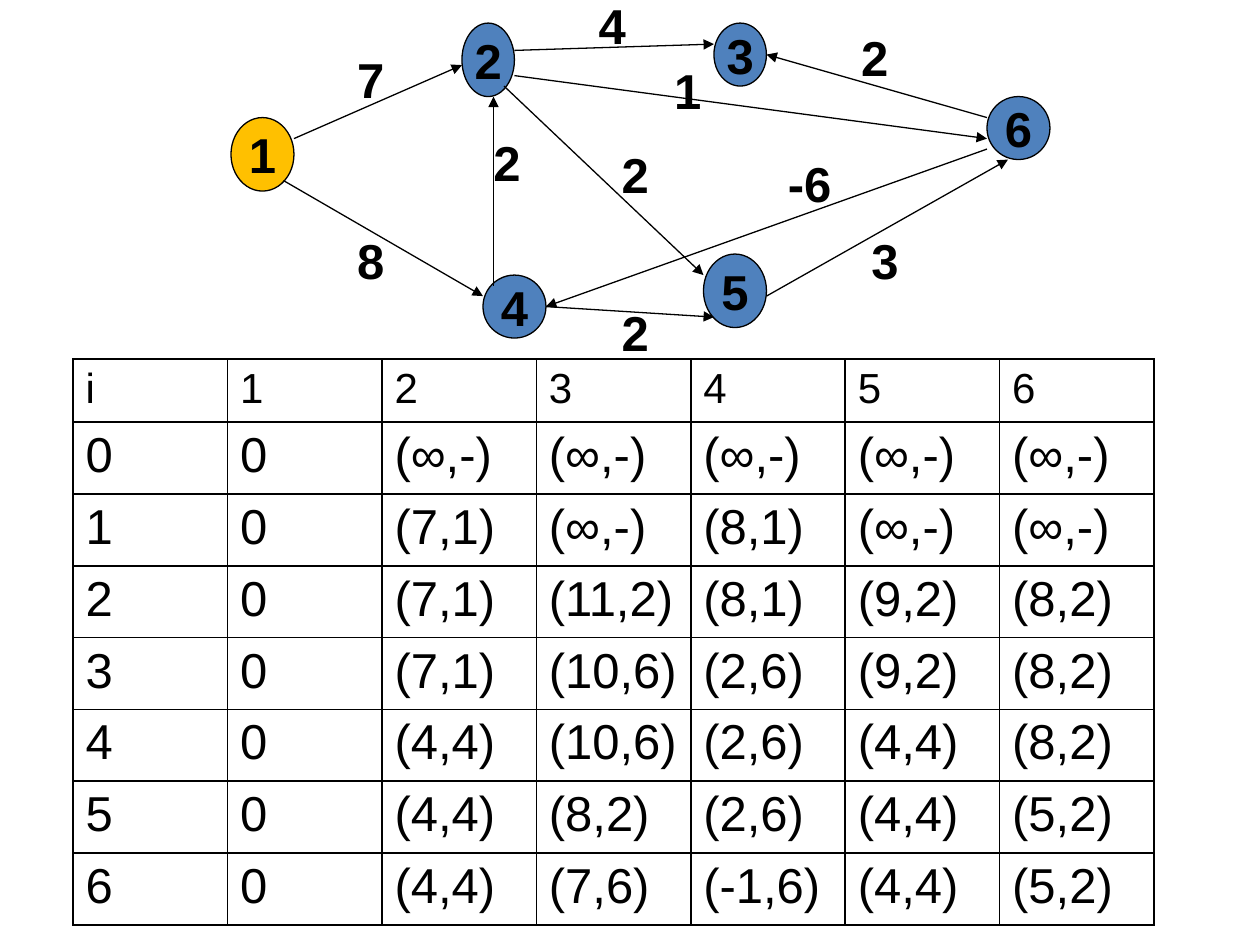
"""Builds a slide with a weighted directed graph and its shortest-path table."""
from dataclasses import dataclass
from typing import NamedTuple

from lxml import etree
from pptx import Presentation
from pptx.dml.color import RGBColor
from pptx.enum.shapes import MSO_CONNECTOR, MSO_SHAPE
from pptx.enum.text import MSO_ANCHOR, PP_ALIGN
from pptx.oxml.ns import qn
from pptx.util import Emu, Inches, Pt

ELLIPSE = MSO_SHAPE.OVAL
STRAIGHT = MSO_CONNECTOR.STRAIGHT
MIDDLE = MSO_ANCHOR.MIDDLE
CENTER = PP_ALIGN.CENTER


@dataclass(frozen=True)
class Theme:
    font: str = "Arial"
    ink: RGBColor = RGBColor(0, 0, 0)
    paper: RGBColor = RGBColor(255, 255, 255)
    start: RGBColor = RGBColor(0xFF, 0xC0, 0x00)
    node: RGBColor = RGBColor(0x4F, 0x81, 0xBD)
    body: Pt = Pt(28)
    header: Pt = Pt(24)
    line: Pt = Pt(0.75)
    border: Pt = Pt(1)


class Node(NamedTuple):
    name: str
    col: float
    row: float
    cols: float
    rows: float
    color: RGBColor


class Edge(NamedTuple):
    col1: float
    row1: float
    col2: float
    row2: float


class Weight(NamedTuple):
    text: str
    col: float
    row: float
    cols: float = 5


THEME = Theme()
UNIT = Inches(1) / 12
GRAPH_LEFT, GRAPH_TOP = 22, 2.2
WEIGHT_ROWS = 6.8
TABLE_LEFT, TABLE_TOP, TABLE_WIDTH = Inches(0.58), Inches(2.85), Inches(8.58)
HEADER_HEIGHT, ROW_HEIGHT = Inches(0.5), Inches(0.57)

NODES = [
    Node("1", 0, 9, 6, 7, THEME.start),
    Node("2", 22, 0, 5, 7, THEME.node),
    Node("3", 46, 0, 5, 6, THEME.node),
    Node("6", 72, 7, 6, 6, THEME.node),
    Node("4", 24, 24, 6, 6, THEME.node),
    Node("5", 45, 22, 6, 7, THEME.node),
]
EDGES = [
    Edge(6, 11, 22, 4), Edge(27, 2.6, 46, 2), Edge(72, 9, 51, 3),
    Edge(5, 15, 24, 26), Edge(25, 25, 25, 7), Edge(30, 27, 46, 28),
    Edge(51, 26, 74, 13), Edge(72, 12, 30, 27), Edge(27, 5, 72, 11),
    Edge(26, 6, 45, 24),
]
WEIGHTS = [
    Weight("7", 10.8, 1.9), Weight("4", 33.8, -3.2), Weight("2", 58.8, -0.2),
    Weight("1", 41, 3), Weight("8", 10.8, 19.2), Weight("2", 23.8, 9.8),
    Weight("2", 36, 11), Weight("-6", 51.8, 11.8, 6.6),
    Weight("3", 59.8, 19.2), Weight("2", 36, 26),
]
HEADER = "i 1 2 3 4 5 6"
ROWS = [
    "0 0 (∞,-) (∞,-) (∞,-) (∞,-) (∞,-)",
    "1 0 (7,1) (∞,-) (8,1) (∞,-) (∞,-)",
    "2 0 (7,1) (11,2) (8,1) (9,2) (8,2)",
    "3 0 (7,1) (10,6) (2,6) (9,2) (8,2)",
    "4 0 (4,4) (10,6) (2,6) (4,4) (8,2)",
    "5 0 (4,4) (8,2) (2,6) (4,4) (5,2)",
    "6 0 (4,4) (7,6) (-1,6) (4,4) (5,2)",
]


def point(col: float, row: float) -> tuple[Emu, Emu]:
    return Emu(round((GRAPH_LEFT + col) * UNIT)), Emu(round((GRAPH_TOP + row) * UNIT))


def size(cols: float, rows: float) -> tuple[Emu, Emu]:
    return Emu(round(cols * UNIT)), Emu(round(rows * UNIT))


def write(tf, text: str, pts: Pt, bold: bool = False):
    p = tf.paragraphs[0]
    r = p.add_run()
    r.text = text
    r.font.name, r.font.size, r.font.bold = THEME.font, pts, bold
    r.font.color.rgb = THEME.ink
    return p


def write_label(tf, text: str) -> None:
    tf.word_wrap = False
    write(tf, text, THEME.body, bold=True).alignment = CENTER


def draw_node(shapes, node: Node) -> None:
    sp = shapes.add_shape(ELLIPSE, *point(node.col, node.row), *size(node.cols, node.rows))
    sp.shadow.inherit = False
    sp.fill.solid()
    sp.fill.fore_color.rgb = node.color
    sp.line.color.rgb, sp.line.width = THEME.ink, THEME.line
    sp.text_frame.vertical_anchor = MIDDLE
    write_label(sp.text_frame, node.name)


def draw_edge(shapes, edge: Edge) -> None:
    cxn = shapes.add_connector(STRAIGHT, *point(edge.col1, edge.row1), *point(edge.col2, edge.row2))
    cxn.line.color.rgb, cxn.line.width = THEME.ink, THEME.line
    spPr = cxn._element.spPr
    etree.SubElement(spPr.find(qn("a:ln")), qn("a:tailEnd"), type="triangle")
    etree.SubElement(spPr, qn("a:effectLst"))


def draw_weight(shapes, weight: Weight) -> None:
    tb = shapes.add_textbox(*point(weight.col, weight.row), *size(weight.cols, WEIGHT_ROWS))
    write_label(tb.text_frame, weight.text)


def format_cell(cell) -> None:
    tcPr = cell._tc.get_or_add_tcPr()
    for side in ("lnL", "lnR", "lnT", "lnB"):
        ln = etree.SubElement(tcPr, qn(f"a:{side}"), w=str(THEME.border))
        fill = etree.SubElement(ln, qn("a:solidFill"))
        etree.SubElement(fill, qn("a:srgbClr"), val=str(THEME.ink))
    cell.fill.solid()
    cell.fill.fore_color.rgb = THEME.paper


def draw_row(shapes, line: str, top: Emu, height: Emu, pts: Pt) -> None:
    values = line.split()
    table = shapes.add_table(1, len(values), TABLE_LEFT, top, TABLE_WIDTH, height).table
    table.first_row = table.horz_banding = False
    for cell, value in zip(table.iter_cells(), values):
        format_cell(cell)
        write(cell.text_frame, value, pts)


def main() -> None:
    prs = Presentation()
    prs.slide_width, prs.slide_height = Inches(10), Inches(7.5)
    shapes = prs.slides.add_slide(prs.slide_layouts[6]).shapes
    graph = shapes.add_group_shape().shapes
    for node in NODES:
        draw_node(graph, node)
    for edge in EDGES:
        draw_edge(graph, edge)
    for weight in WEIGHTS:
        draw_weight(graph, weight)
    draw_row(shapes, HEADER, TABLE_TOP, HEADER_HEIGHT, THEME.header)
    for i, line in enumerate(ROWS):
        top = TABLE_TOP + HEADER_HEIGHT + i * ROW_HEIGHT
        draw_row(shapes, line, top, ROW_HEIGHT, THEME.body)
    prs.save("out.pptx")


if __name__ == "__main__":
    main()
